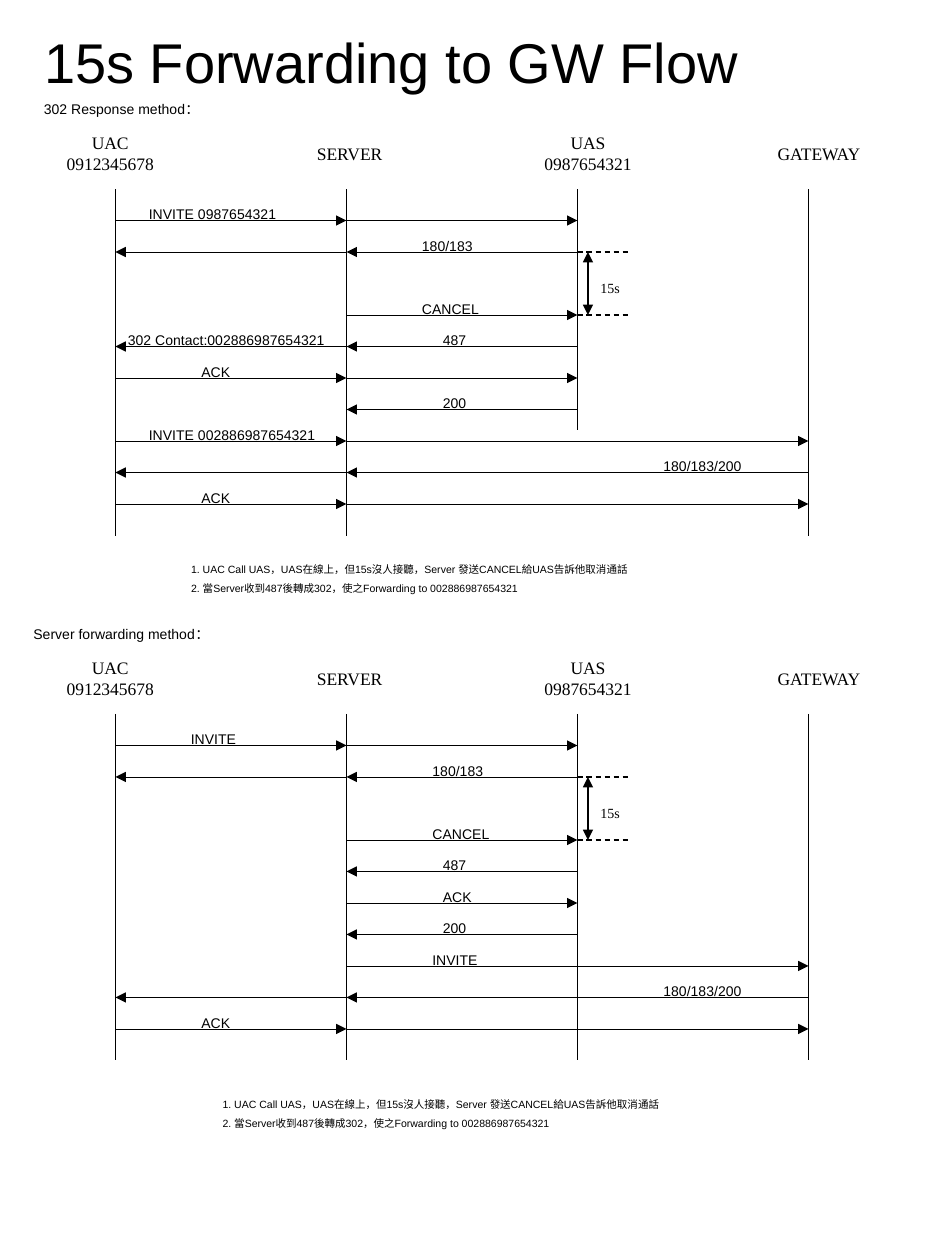
"""Builds a slide with two call-forwarding message flows."""
from lxml.etree import SubElement
from pptx import Presentation
from pptx.dml.color import RGBColor
from pptx.enum.dml import MSO_LINE
from pptx.enum.text import MSO_ANCHOR, MSO_AUTO_SIZE, PP_ALIGN
from pptx.oxml.ns import qn
from pptx.util import Inches, Pt

BLACK = RGBColor(0, 0, 0)
SANS, SERIF = "Arial", "Times New Roman"
UAC, SERVER, UAS, GATEWAY = 11, 33, 55, 77
NOTES = [
    "1. UAC Call UAS，UAS在線上，但15s沒人接聽，Server 發送CANCEL給UAS告訴他取消通話",
    "2. 當Server收到487後轉成302，使之Forwarding to 002886987654321",
]
REDIRECT = [
    (0, "INVITE 0987654321", 13, 19, (UAC, SERVER, UAS)),
    (1, "180/183", 39, 10, (UAS, SERVER, UAC)),
    (3, "CANCEL", 39, 8, (SERVER, UAS)),
    (4, "487", 41, 5, (UAS, SERVER)),
    (4, "302 Contact:002886987654321", 11, 23, (SERVER, UAC)),
    (5, "ACK", 18, 7, (UAC, SERVER, UAS)),
    (6, "200", 41, 5, (UAS, SERVER)),
    (7, "INVITE 002886987654321", 13, 19, (UAC, SERVER, GATEWAY)),
    (8, "180/183/200", 62, 10, (GATEWAY, SERVER, UAC)),
    (9, "ACK", 18, 7, (UAC, SERVER, GATEWAY)),
]
SERVER_FORWARD = [
    (0, "INVITE", 17, 7, (UAC, SERVER, UAS)),
    (1, "180/183", 40, 10, (UAS, SERVER, UAC)),
    (3, "CANCEL", 40, 8, (SERVER, UAS)),
    (4, "487", 41, 5, (UAS, SERVER)),
    (5, "ACK", 41, 7, (SERVER, UAS)),
    (6, "200", 41, 5, (UAS, SERVER)),
    (7, "INVITE", 40, 7, (SERVER, GATEWAY)),
    (8, "180/183/200", 62, 10, (GATEWAY, SERVER, UAC)),
    (9, "ACK", 18, 7, (UAC, SERVER, GATEWAY)),
]


class FlowSlide:
    """Draws flow elements on a grid of twelve cells to the inch."""

    def __init__(self, prs):
        self.s = prs.slides.add_slide(prs.slide_layouts[3])
        self.cell = prs.slide_width / 90

    def grid(self, *cells):
        return [round(n * self.cell) for n in cells]

    def fill_text(self, sp, box, lines, size, font=SANS, align=PP_ALIGN.LEFT, before=0):
        sp.left, sp.top, sp.width, sp.height = self.grid(*box)
        tf = sp.text_frame
        tf.word_wrap = True
        tf.auto_size = MSO_AUTO_SIZE.SHAPE_TO_FIT_TEXT
        tf.vertical_anchor = MSO_ANCHOR.TOP
        for i, line in enumerate(lines):
            p = tf.add_paragraph() if i else tf.paragraphs[0]
            p.alignment, p.space_before = align, Pt(before)
            pPr = p._p.get_or_add_pPr()
            pPr.set("marL", str(Inches(0.38)))
            pPr.set("indent", str(-Inches(0.38)))
            SubElement(pPr, qn("a:buNone"))
            r = p.add_run()
            r.text = line
            r.font.size, r.font.name = Pt(size), font
            r.font.color.rgb = BLACK

    def title(self, text):
        self.fill_text(self.s.shapes.title, (3, 2, 71, 7.7), [text], 32, before=20)

    def notes(self, idx, col, row):
        sp = self.s.placeholders[idx]
        self.fill_text(sp, (col, row, 46, 5.4), NOTES, 6, before=3.7)

    def text(self, box, lines, size, *style, **options):
        sp = self.s.shapes.add_textbox(0, 0, 0, 0)
        self.fill_text(sp, box, lines, size, *style, **options)

    def label(self, col, row, width, text, font=SANS):
        self.text((col, row, width, 2.9), [text], 8, font, before=5)

    def line(self, ends, width, arrows=(), dash=None):
        c = self.s.shapes.add_connector(1, *self.grid(*ends))
        c.line.color.rgb, c.line.width = BLACK, Pt(width)
        if dash:
            c.line.dash_style = dash
        spPr = c._element.spPr
        for end in arrows:
            SubElement(spPr.find(qn("a:ln")), qn(f"a:{end}"), type="triangle")
        SubElement(spPr, qn("a:effectLst"))

    def lifelines(self, top, uas_end):
        for col in (UAC, SERVER, UAS, GATEWAY):
            end = uas_end if col == UAS else 51
            self.line((col, top + 18, col, top + end), 1)
        center = PP_ALIGN.CENTER
        self.text((5, top + 12, 11, 5.3), ["UAC", "0912345678"], 10, SERIF, center)
        self.text((50, top + 12, 12, 5.3), ["UAS", "0987654321"], 10, SERIF, center)
        self.text((29, top + 13, 9, 3.2), ["SERVER"], 10, SERIF, before=6.2)
        self.text((72, top + 13, 12, 3.2), ["GATEWAY"], 10, SERIF, center)

    def message(self, row, text, col, width, stops):
        for start, end in zip(stops, stops[1:]):
            self.line((start, row, end, row), 0.5, ["tailEnd"])
        self.label(col, row - 2, width, text)

    def timeout(self, top):
        for row in (top + 24, top + 30):
            self.line((UAS, row, UAS + 5, row), 0.75, dash=MSO_LINE.DASH)
        self.line((56, top + 24, 56, top + 30), 0.75, ["headEnd", "tailEnd"])
        self.label(56, top + 26, 5, "15s", SERIF)

    def flow(self, top, messages, uas_end):
        self.lifelines(top, uas_end)
        for step, *message in messages:
            self.message(top + 21 + 3 * step, *message)
        self.timeout(top)


def main():
    prs = Presentation()
    prs.slide_width, prs.slide_height = Inches(7.5), Inches(10)
    s = FlowSlide(prs)
    s.title("15s Forwarding to GW Flow")
    s.label(3, 9, 18, "302 Response method：")
    s.flow(0, REDIRECT, uas_end=41)
    s.notes(1, 17, 53)
    s.label(2, 59, 20, "Server forwarding method：")
    s.flow(50, SERVER_FORWARD, uas_end=51)
    s.notes(2, 20, 104)
    prs.save("out.pptx")


if __name__ == "__main__":
    main()
